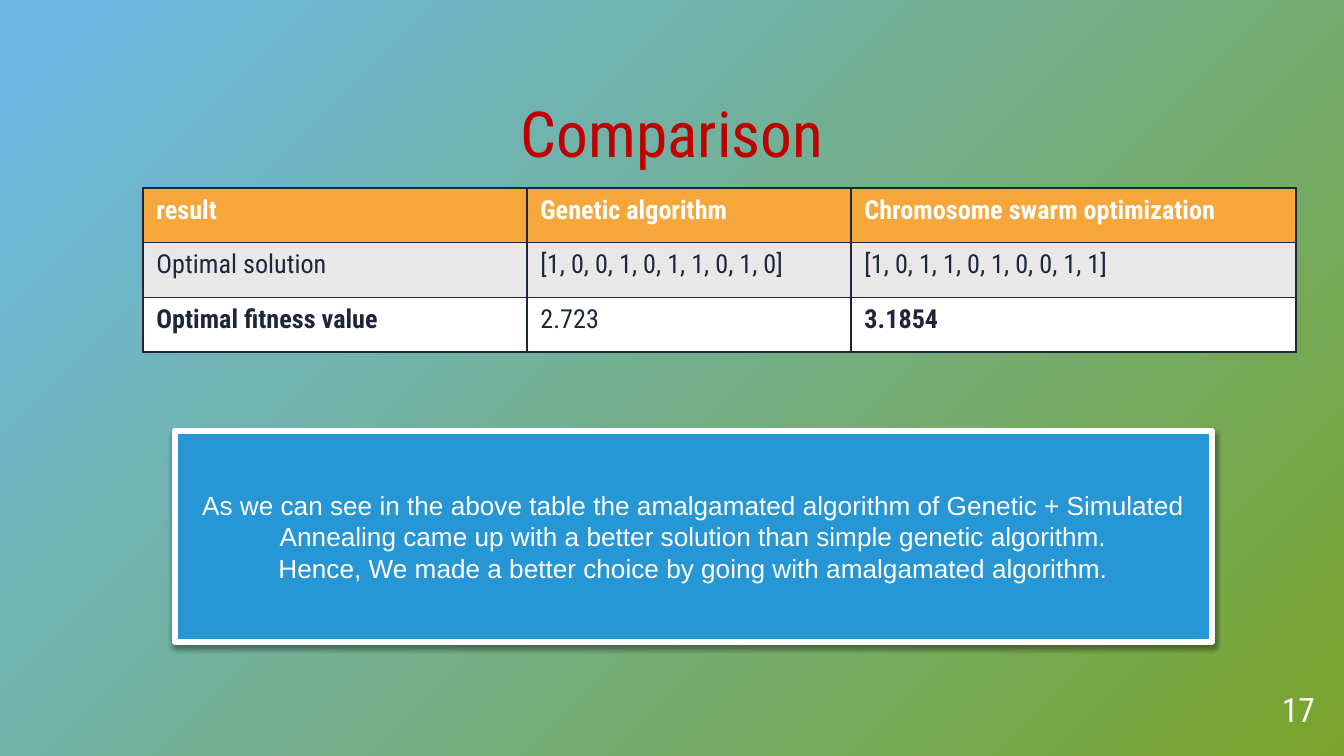
from dataclasses import dataclass

from pptx import Presentation
from pptx import util as u
from pptx.dml.color import RGBColor
from pptx.enum import shapes, text
from pptx.oxml import parse_xml
from pptx.oxml.ns import nsdecls, qn

SCALE = 914400 / 134.4


def px(n):
    return u.Emu(round(n * SCALE))


@dataclass(frozen=True)
class Theme:
    white: str = "FFFFFF"
    black: str = "000000"
    ink: str = "1E263A"
    red: str = "C00000"
    blue: str = "2796D5"
    gold: str = "F5A73B"
    gray: str = "E8E8E8"
    green: str = "79A42B"
    sky: str = "6DB9E4"
    head: str = "Roboto Condensed"
    body: str = "Arial"
    big: int = 34
    mid: int = 18
    small: int = 14


class Deck:
    def __init__(self, theme):
        self.theme = theme
        self.prs = Presentation()
        self.prs.slide_width, self.prs.slide_height = px(1344), px(756)
        self.slide = self.prs.slides.add_slide(self.prs.slide_layouts[6])

    def back(self, stops):
        self.slide.background.fill.solid()
        fill = self.slide.element.find(".//" + qn("p:bgPr"))[0]
        marks = "".join(
            f'<a:gs pos="{pos * 1000}"><a:srgbClr val="{color}"/></a:gs>'
            for pos, color in stops)
        grad = parse_xml(
            f'<a:gradFill {nsdecls("a")} rotWithShape="1"><a:gsLst>{marks}</a:gsLst>'
            '<a:path path="circle"><a:fillToRect l="100000" t="100000"/></a:path>'
            '</a:gradFill>')
        fill.getparent().replace(fill, grad)

    def shade(self, blur, dist, angle, alpha):
        return parse_xml(
            f'<a:outerShdw {nsdecls("a")} blurRad="{u.Pt(blur)}" dist="{u.Pt(dist)}" '
            f'dir="{angle * 60000}" algn="ctr" rotWithShape="0">'
            f'<a:srgbClr val="{self.theme.black}"><a:alpha val="{alpha * 1000}"/>'
            '</a:srgbClr></a:outerShdw>')

    def style(self, frame, size, color, font, align=None, bold=False, space=None):
        for para in frame.paragraphs:
            para.alignment = align
            para.line_spacing = space
            for run in para.runs:
                run.font.size = u.Pt(size)
                run.font.name = font
                run.font.bold = bold
                run.font.color.rgb = RGBColor.from_string(color)

    def label(self, words, box, size, color, align):
        shape = self.slide.shapes.add_textbox(*map(px, box))
        frame = shape.text_frame
        frame.word_wrap = True
        frame.vertical_anchor = text.MSO_ANCHOR.BOTTOM
        frame.margin_left = frame.margin_right = 0
        frame.margin_top = frame.margin_bottom = 0
        frame.text = words
        self.style(frame, size, color, self.theme.head, align, space=0.9)
        return frame

    def title(self, words, box):
        t = self.theme
        frame = self.label(words, box, t.big, t.red, text.PP_ALIGN.CENTER)
        glow = parse_xml(f'<a:effectLst {nsdecls("a")}/>')
        glow.append(self.shade(3, 2, 45, 40))
        fill = frame.paragraphs[0].runs[0].font.color
        fill = next(frame.paragraphs[0].runs[0].font.fill for _ in [fill])
        frame.paragraphs[0].runs[0].font.fill.solid()
        frame.paragraphs[0].runs[0].font.color.rgb = RGBColor.from_string(t.red)
        shape = self.slide.shapes[-1]
        shape.element.find(".//" + qn("a:rPr")).find(qn("a:solidFill")).addnext(glow)

    def edge(self, cell, color, width):
        props = cell._tc.get_or_add_tcPr()
        for spot, side in enumerate("LRTB"):
            props.insert(spot, parse_xml(
                f'<a:ln{side} {nsdecls("a")} w="{u.Pt(width)}"><a:solidFill>'
                f'<a:srgbClr val="{color}"/></a:solidFill></a:ln{side}>'))

    def table(self, rows, fills, bold, box, widths):
        t = self.theme
        grid = self.slide.shapes.add_table(
            len(rows), len(widths), *map(px, box)).table
        for col, width in zip(grid.columns, widths):
            col.width = px(width)
        for r, row in enumerate(rows):
            for c, words in enumerate(row):
                cell = grid.cell(r, c)
                cell.text = words
                cell.fill.solid()
                cell.fill.fore_color.rgb = RGBColor.from_string(fills[r])
                color = t.ink if r else t.white
                self.style(cell.text_frame, t.small, color, t.head,
                           bold=(r, c) in bold)
                self.edge(cell, t.ink, 1)

    def panel(self, words, box):
        t = self.theme
        shape = self.slide.shapes.add_shape(
            shapes.MSO_SHAPE.RECTANGLE, *map(px, box))
        shape.fill.solid()
        shape.fill.fore_color.rgb = RGBColor.from_string(t.blue)
        shape.line.color.rgb = RGBColor.from_string(t.white)
        shape.line.width = u.Pt(3)
        shape.shadow.inherit = False
        shape.element.find(".//" + qn("a:effectLst")).append(
            self.shade(3.1, 1.6, 90, 38))
        frame = shape.text_frame
        frame.word_wrap = True
        frame.vertical_anchor = text.MSO_ANCHOR.MIDDLE
        frame.text = words
        self.style(frame, t.small, t.white, t.body, text.PP_ALIGN.CENTER)


def main():
    t = Theme()
    deck = Deck(t)
    deck.back([(0, t.green), (96, t.sky), (100, t.sky)])
    deck.label("17", (1235, 683, 80, 47), t.mid, t.white, text.PP_ALIGN.RIGHT)
    deck.title("Comparison", (114, 82, 1116, 89))
    deck.table(
        [("result", "Genetic algorithm", "Chromosome swarm optimization"),
         ("Optimal solution", "[1, 0, 0, 1, 0, 1, 1, 0, 1, 0]",
          "[1, 0, 1, 1, 0, 1, 0, 0, 1, 1]"),
         ("Optimal fitness value", "2.723", "3.1854")],
        (t.gold, t.gray, t.white),
        {(0, 0), (0, 1), (0, 2), (2, 0), (2, 2)},
        (143, 188, 1153, 164), (384, 324, 445))
    deck.panel(
        "As we can see in the above table the amalgamated algorithm of "
        "Genetic + Simulated Annealing came up with a better solution than "
        "simple genetic algorithm.\n"
        "Hence, We made a better choice by going with amalgamated algorithm.",
        (175, 431, 1037, 211))
    deck.prs.save("out.pptx")


if __name__ == "__main__":
    main()
